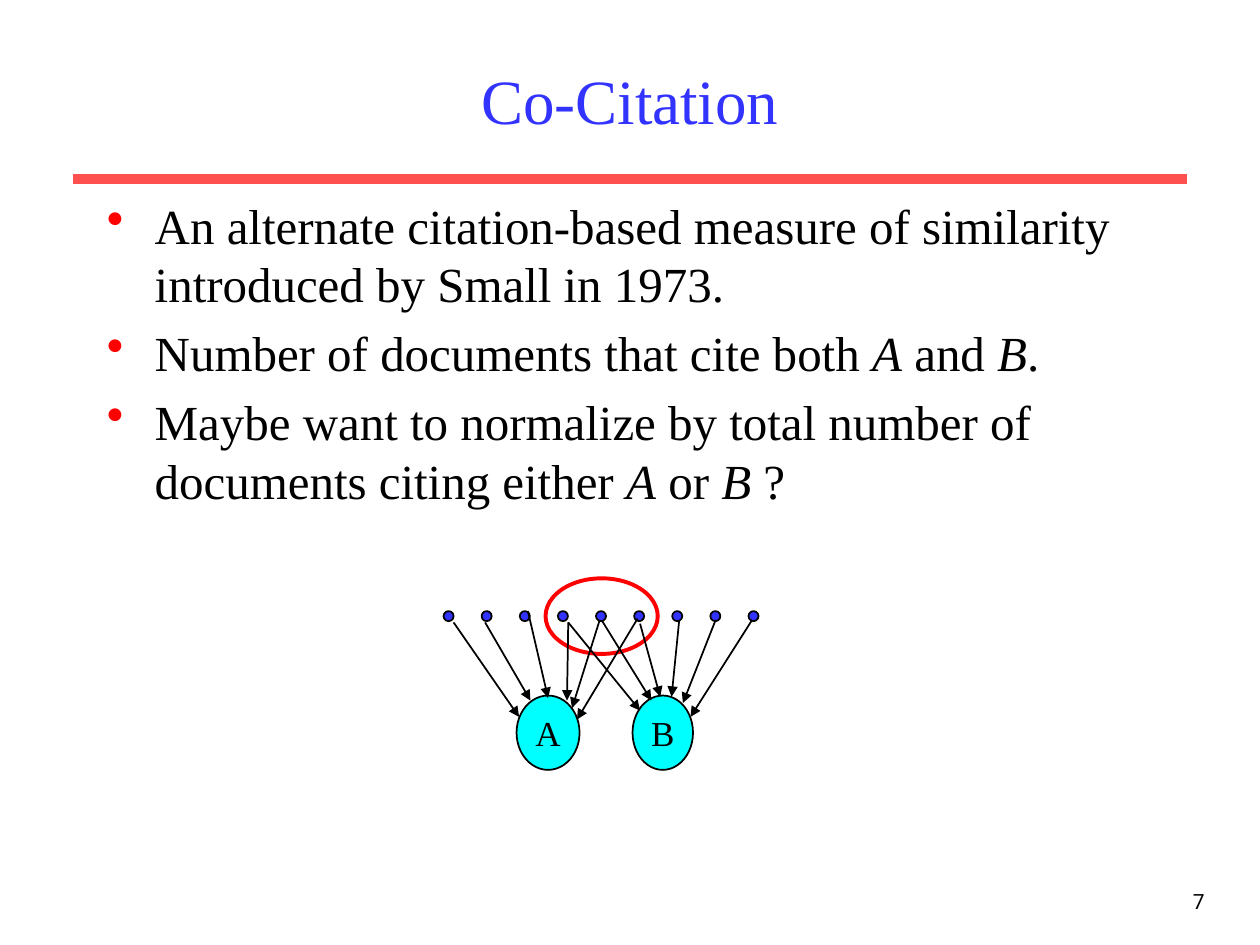
from lxml import etree
from pptx import Presentation
from pptx import util as u
from pptx.dml.color import RGBColor
from pptx.enum import shapes, text
from pptx.oxml import ns

BLACK = RGBColor(0x00, 0x00, 0x00)
BLUE = RGBColor(0x33, 0x33, 0xFF)
RED = RGBColor(0xFF, 0x00, 0x00)
CORAL = RGBColor(0xFF, 0x50, 0x50)
CYAN = RGBColor(0x00, 0xFF, 0xFF)


class Deck:
    """Holds the style and the current slide."""
    serif = "Times New Roman"
    sans = "Roboto"

    def __init__(self, slide):
        self.s = slide

    def add_runs(self, p, runs, size, color=BLACK, font=None):
        for content, italic in runs:
            r = p.add_run()
            r.text = content
            style = dict(name=font or self.serif, size=u.Pt(size), italic=italic)
            for key, value in style.items():
                setattr(r.font, key, value)
            r.font.color.rgb = color

    def textbox(self, box, anchor=text.MSO_ANCHOR.TOP):
        tf = self.s.shapes.add_textbox(*map(u.Inches, box)).text_frame
        tf.word_wrap = True
        tf.vertical_anchor = anchor
        return tf

    def label(self, box, content, size, color, align, anchor, font=None):
        p = self.textbox(box, anchor).paragraphs[0]
        p.alignment = align
        self.add_runs(p, [(content, False)], size, color, font)

    def bullets(self, box, items, size):
        tf = self.textbox(box)
        for i, runs in enumerate(items):
            p = tf.add_paragraph() if i else tf.paragraphs[0]
            p.space_before = u.Pt(size * 0.2)
            pPr = p._p.get_or_add_pPr()
            pPr.set("marL", str(u.Inches(0.38)))
            pPr.set("indent", str(u.Inches(-0.38)))
            clr = etree.SubElement(pPr, ns.qn("a:buClr"))
            etree.SubElement(clr, ns.qn("a:srgbClr"), val=str(RED))
            etree.SubElement(pPr, ns.qn("a:buChar"), char="•")
            self.add_runs(p, runs, size)

    def ellipse(self, box, fill=None, line=BLACK, width=1.0, content=None):
        sp = self.s.shapes.add_shape(shapes.MSO_SHAPE.OVAL, *map(u.Inches, box))
        sp.shadow.inherit = False
        if fill is None:
            sp.fill.background()
        else:
            sp.fill.solid()
            sp.fill.fore_color.rgb = fill
        sp.line.color.rgb = line
        sp.line.width = u.Pt(width)
        if content:
            tf = sp.text_frame
            tf.word_wrap = False
            tf.vertical_anchor = text.MSO_ANCHOR.MIDDLE
            p = tf.paragraphs[0]
            p.alignment = text.PP_ALIGN.CENTER
            self.add_runs(p, [(content, False)], 20)

    def line(self, start, end, color=BLACK, width=1.0, arrow=False):
        c = self.s.shapes.add_connector(
            shapes.MSO_CONNECTOR.STRAIGHT, *map(u.Inches, (*start, *end)))
        c.line.color.rgb = color
        c.line.width = u.Pt(width)
        if arrow:
            etree.SubElement(c.get_or_add_ln(), ns.qn("a:tailEnd"), type="triangle")
        etree.SubElement(c._element.spPr, ns.qn("a:effectLst"))


def main():
    prs = Presentation()
    prs.slide_width, prs.slide_height = u.Inches(10), u.Inches(7.5)
    d = Deck(prs.slides.add_slide(prs.slide_layouts[6]))

    # Rule, page number and title
    d.line((0.58, 1.42), (9.42, 1.42), CORAL, 6)
    d.label((7.58, 7, 2.08, 0.5), "7", 12, BLACK, text.PP_ALIGN.RIGHT,
            text.MSO_ANCHOR.TOP, d.sans)
    d.label((0.75, 0.25, 8.5, 1.08), "Co-Citation", 36, BLUE,
            text.PP_ALIGN.CENTER, text.MSO_ANCHOR.MIDDLE)

    # Bullets: runs of (text, italic)
    d.bullets((0.75, 1.5, 8.5, 5.13), [
        [("An alternate citation-based measure of similarity introduced by Small in 1973.", False)],
        [("Number of documents that cite both ", False), ("A", True),
         (" and ", False), ("B", True), (".", False)],
        [("Maybe want to normalize by total number of documents citing either ", False),
         ("A", True), (" or ", False), ("B ", True), ("?", False)],
    ], 28)

    # Cited documents and the ring around their shared citers
    d.ellipse((4.1, 5.52, 0.5, 0.59), CYAN, content="A")
    d.ellipse((5.02, 5.52, 0.48, 0.59), CYAN, content="B")
    d.ellipse((4.33, 4.59, 0.89, 0.6), line=RED, width=2.25)

    # Row of citing documents
    first, last, count = 3.52, 5.94, 9
    for i in range(count):
        d.ellipse((first + i * (last - first) / (count - 1), 4.85, 0.08, 0.08), BLUE)

    # Citations to A, then to B
    to_a = [((3.6, 4.94), (4.12, 5.69)), ((3.85, 4.94), (4.21, 5.56)),
            ((4.19, 4.85), (4.35, 5.54)), ((4.51, 4.94), (4.5, 5.56)),
            ((4.76, 4.92), (4.54, 5.62)), ((5.06, 4.91), (4.58, 5.71))]
    to_b = [((4.51, 4.94), (5.08, 5.64)), ((4.78, 4.93), (5.17, 5.56)),
            ((5.08, 4.95), (5.24, 5.53)), ((5.39, 4.93), (5.33, 5.53)),
            ((5.68, 4.92), (5.42, 5.58)), ((5.97, 4.92), (5.48, 5.69))]
    for start, end in to_a + to_b:
        d.line(start, end, arrow=True)

    prs.save("out.pptx")


if __name__ == "__main__":
    main()
